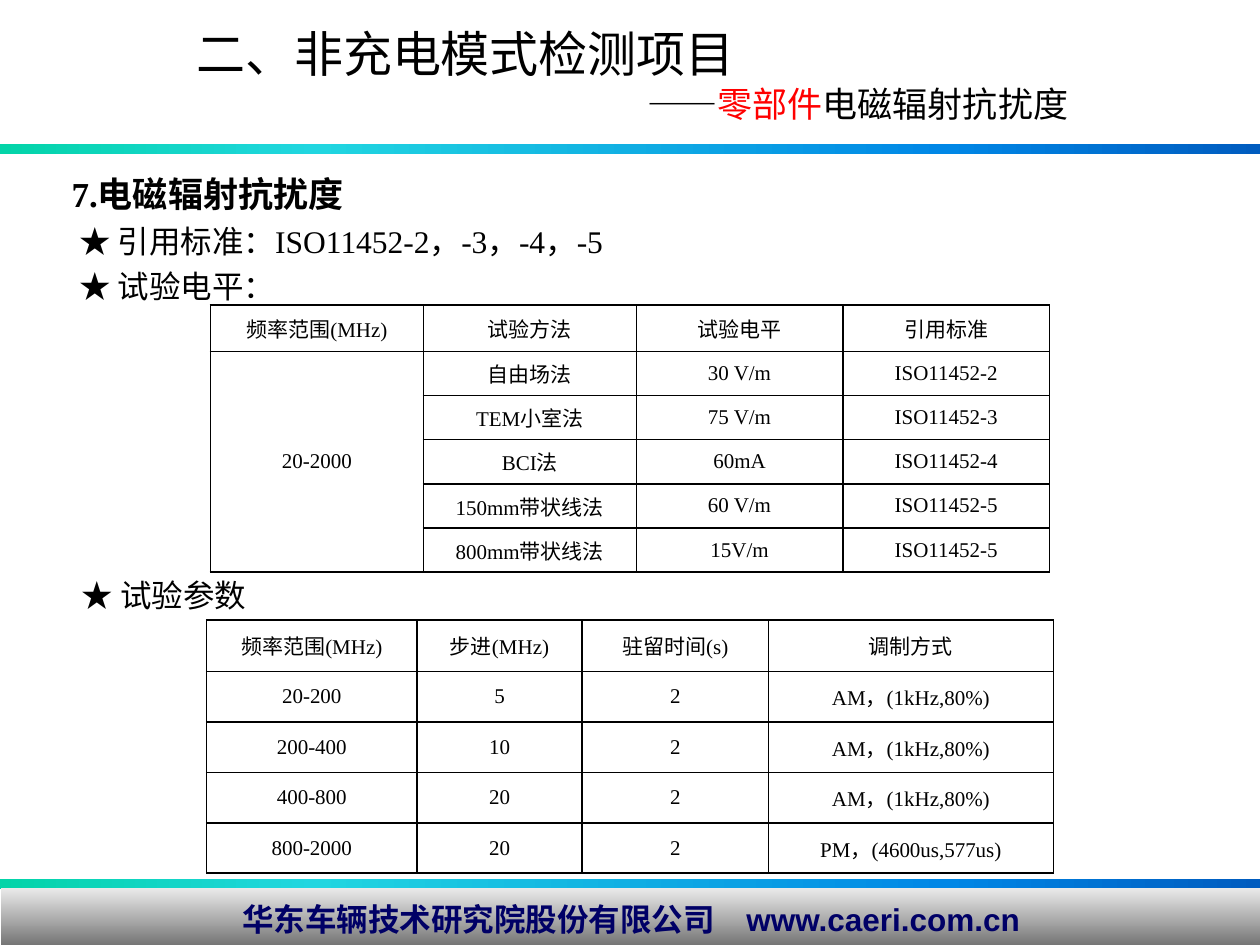
from lxml import etree
from pptx import Presentation
from pptx import util as u
from pptx.dml.color import RGBColor
from pptx.enum import shapes, text
from pptx.oxml.ns import qn

THEME = {
    "black": "000000", "accent": "FF0000", "footer": "000066",
    "bar": [(0, "03D4A8"), (25, "21D6E0"), (75, "0087E6"), (100, "005CBF")],
    "footer_bg": [(0, "EAEAEA"), (100, "6C6C6C")],
    "title_font": "Calibri", "body_font": "Times New Roman", "footer_font": "Arial",
    "title": 28, "heading": 20, "body": 18, "cell": 12,
}

TITLE = "二、非充电模式检测项目"
SUBTITLE = [("——", "black"), ("零部件", "accent"), ("电磁辐射抗扰度", "black")]
HEADING = "7.电磁辐射抗扰度"
ITEMS = ["★ 引用标准：ISO11452-2，-3，-4，-5", "★ 试验电平："]
PARAMETERS = "★ 试验参数"
FOOTER = "华东车辆技术研究院股份有限公司　www.caeri.com.cn"

LEVELS = [
    ("频率范围(MHz)", "试验方法", "试验电平", "引用标准"),
    ("20-2000", "自由场法", "30 V/m", "ISO11452-2"),
    ("", "TEM小室法", "75 V/m", "ISO11452-3"),
    ("", "BCI法", "60mA", "ISO11452-4"),
    ("", "150mm带状线法", "60 V/m", "ISO11452-5"),
    ("", "800mm带状线法", "15V/m", "ISO11452-5"),
]
SWEEP = [
    ("频率范围(MHz)", "步进(MHz)", "驻留时间(s)", "调制方式"),
    ("20-200", "5", "2", "AM，(1kHz,80%)"),
    ("200-400", "10", "2", "AM，(1kHz,80%)"),
    ("400-800", "20", "2", "AM，(1kHz,80%)"),
    ("800-2000", "20", "2", "PM，(4600us,577us)"),
]


def set_font(font, size, name, color="black", bold=False):
    font.size, font.name, font.bold = u.Pt(size), THEME[name], bold
    font.color.rgb = RGBColor.from_string(THEME[color])


def add_band(s, box, stops, angle=0):
    """Rectangle with a gradient; the angle runs clockwise."""
    sp = s.shapes.add_shape(shapes.MSO_SHAPE.RECTANGLE, *map(u.Inches, box))
    sp.shadow.inherit = False
    sp.line.fill.background()
    sp.fill.gradient()
    sp.fill.gradient_angle = (360 - angle) % 360
    gs_list = sp._element.spPr.find(qn("a:gradFill")).find(qn("a:gsLst"))
    for gs in list(gs_list):
        gs_list.remove(gs)
    for pos, color in stops:
        gs = etree.SubElement(gs_list, qn("a:gs"), pos=str(pos * 1000))
        etree.SubElement(gs, qn("a:srgbClr"), val=color)
    return sp


def add_text(s, box, wrap=True):
    tf = s.shapes.add_textbox(*map(u.Inches, box)).text_frame
    tf.word_wrap = wrap
    return tf


def add_borders(cell):
    tc_pr = cell._tc.get_or_add_tcPr()
    for side in ("lnL", "lnR", "lnT", "lnB"):
        ln = etree.SubElement(tc_pr, qn(f"a:{side}"), w=str(u.Pt(1)))
        fill = etree.SubElement(ln, qn("a:solidFill"))
        etree.SubElement(fill, qn("a:srgbClr"), val=THEME["black"])


def add_grid(s, left, top, widths, heights, rows):
    size = map(u.Inches, (left, top, sum(widths), sum(heights)))
    table = s.shapes.add_table(len(rows), len(widths), *size).table
    table.first_row = table.horz_banding = False
    for col, width in zip(table.columns, widths):
        col.width = u.Inches(width)
    for row, height, values in zip(table.rows, heights, rows):
        row.height = u.Inches(height)
        for cell, value in zip(row.cells, values):
            add_borders(cell)
            cell.fill.background()
            cell.margin_left = cell.margin_right = u.Inches(0.07)
            cell.margin_top = cell.margin_bottom = 0
            cell.vertical_anchor = text.MSO_ANCHOR.MIDDLE
            p = cell.text_frame.paragraphs[0]
            p.text = value
            p.alignment = text.PP_ALIGN.CENTER
            set_font(p.font, THEME["cell"], "body_font")
    return table


def add_title(s):
    tf = add_text(s, (1.46, 0.08, 8.31, 1.02))
    tf.vertical_anchor = text.MSO_ANCHOR.MIDDLE
    p = tf.paragraphs[0]
    p.text = TITLE
    set_font(p.font, THEME["title"], "title_font")
    p = tf.add_paragraph()
    p._p.get_or_add_pPr().set("marL", str(u.Inches(3.58)))
    for words, color in SUBTITLE:
        r = p.add_run()
        r.text = words
        set_font(r.font, THEME["heading"], "title_font", color)


def add_body(s):
    tf = add_text(s, (0.47, 1.25, 8.91, 1.23))
    for i, words in enumerate([HEADING] + ITEMS):
        p = tf.add_paragraph() if i else tf.paragraphs[0]
        p.text = words
        p.line_spacing = 1.2
        if i:
            p._p.get_or_add_pPr().set("marL", str(u.Inches(0.06)))
        set_font(p.font, THEME["body" if i else "heading"], "body_font", bold=not i)


def add_footer(s):
    sp = add_band(s, (0.01, 7.05, 10, 0.49), THEME["footer_bg"], 90)
    tf = sp.text_frame
    tf.vertical_anchor = text.MSO_ANCHOR.MIDDLE
    p = tf.paragraphs[0]
    p.text = FOOTER
    p.alignment = text.PP_ALIGN.CENTER
    set_font(p.font, THEME["body"], "footer_font", "footer", True)


def main():
    prs = Presentation()
    prs.slide_width, prs.slide_height = u.Inches(10), u.Inches(7.5)
    s = prs.slides.add_slide(prs.slide_layouts[6])
    for top in (6.98, 1.14):
        add_band(s, (0, top, 10, 0.08), THEME["bar"])
    add_footer(s)
    add_title(s)
    add_body(s)
    levels = add_grid(s, 1.67, 2.42, [1.69, 1.69, 1.64, 1.64], [0.37] + [0.35] * 5, LEVELS)
    levels.cell(1, 0).merge(levels.cell(5, 0))
    p = add_text(s, (0.55, 4.52, 1.53, 0.4), wrap=False).paragraphs[0]
    p.text = PARAMETERS
    set_font(p.font, THEME["body"], "body_font")
    add_grid(s, 1.64, 4.92, [1.67, 1.31, 1.48, 2.26], [0.41] + [0.4] * 4, SWEEP)
    prs.save("out.pptx")


if __name__ == "__main__":
    main()
